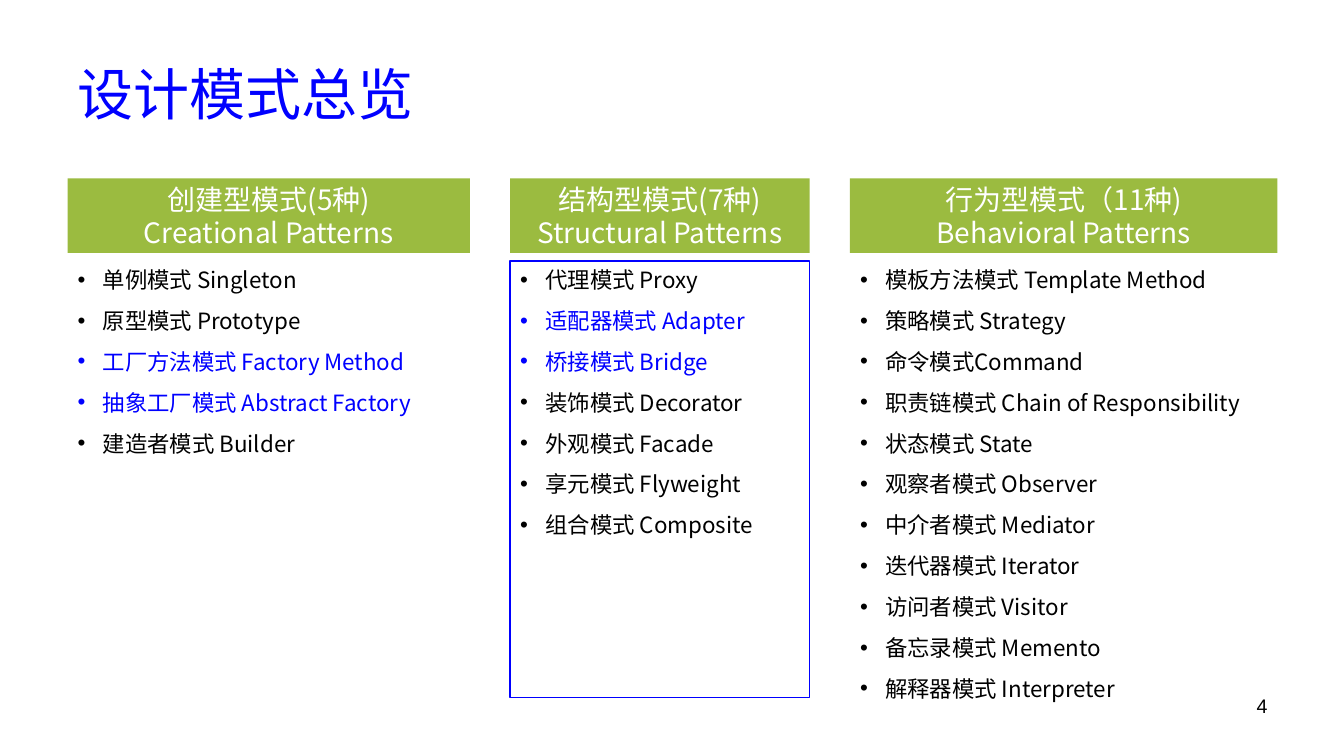
from dataclasses import dataclass
from itertools import accumulate

from lxml.etree import SubElement
from pptx import Presentation
from pptx.dml.color import RGBColor
from pptx.enum.shapes import MSO_SHAPE
from pptx.enum.text import MSO_ANCHOR, MSO_AUTO_SIZE, PP_ALIGN
from pptx.oxml.ns import qn
from pptx.util import Inches, Pt

COLORS = {"green": "9BBB40", "blue": "0000FF", "black": "000000", "white": "FFFFFF"}
CJK = "Noto Sans CJK SC"

# Grid: three columns between equal margins
MARGIN, WIDTH, GAP = 0.67, 12, 0.4
HEADER_TOP, HEADER_HEIGHT, LIST_TOP = 1.77, 0.74, 2.59
FRAME_HEIGHT = 4.33


@dataclass
class Category:
    heading: list[str]
    patterns: list[str]
    width: float
    list_height: float
    placeholder: int
    highlighted: tuple[int, ...] = ()
    framed: bool = False


CATEGORIES = [
    Category(["创建型模式(5种)", "Creational Patterns"],
             ["单例模式 Singleton", "原型模式 Prototype", "工厂方法模式 Factory Method",
              "抽象工厂模式 Abstract Factory", "建造者模式 Builder"],
             3.99, 2.08, 1, highlighted=(2, 3)),
    Category(["结构型模式(7种)", "Structural Patterns"],
             ["代理模式 Proxy", "适配器模式 Adapter", "桥接模式 Bridge", "装饰模式 Decorator",
              "外观模式 Facade", "享元模式 Flyweight", "组合模式 Composite"],
             2.97, 3.27, 2, highlighted=(1, 2), framed=True),
    Category(["行为型模式（11种)", "Behavioral Patterns"],
             ["模板方法模式 Template Method", "策略模式 Strategy", "命令模式Command",
              "职责链模式 Chain of Responsibility", "状态模式 State", "观察者模式 Observer",
              "中介者模式 Mediator", "迭代器模式 Iterator", "访问者模式 Visitor",
              "备忘录模式 Memento", "解释器模式 Interpreter"],
             4.24, 4.45, 4),
]


def rgb(name: str) -> RGBColor:
    return RGBColor.from_string(COLORS[name])


def place(shape, left: float, top: float, width: float, height: float) -> None:
    shape.left, shape.top = Inches(left), Inches(top)
    shape.width, shape.height = Inches(width), Inches(height)


def add_bullet(para) -> None:
    properties = para._p.get_or_add_pPr()
    properties.set("marL", str(Inches(0.25)))
    properties.set("indent", str(-Inches(0.25)))
    SubElement(properties, qn("a:buFont")).set("typeface", "Arial")
    SubElement(properties, qn("a:buChar")).set("char", "•")


def write(shape, lines: list[str], *, size: float, color: str = "black", font: str = CJK,
          align: PP_ALIGN = PP_ALIGN.LEFT, anchor: MSO_ANCHOR = MSO_ANCHOR.TOP,
          bullets: bool = False, space_before: float = 0, line_height: float | None = None,
          highlighted: tuple[int, ...] = ()) -> None:
    frame = shape.text_frame
    frame.word_wrap = True
    frame.auto_size = MSO_AUTO_SIZE.NONE
    frame.vertical_anchor = anchor
    for index, line in enumerate(lines):
        para = frame.add_paragraph() if index else frame.paragraphs[0]
        if bullets:
            add_bullet(para)
        para.alignment = align
        para.space_before = Pt(space_before if index else 0)
        if line_height:
            para.line_spacing = Pt(line_height)
        span = para.add_run()
        span.text = line
        span.font.size, span.font.bold, span.font.name = Pt(size), False, font
        SubElement(span._r.get_or_add_rPr(), qn("a:ea")).set("typeface", font)
        span.font.color.rgb = rgb("blue" if index in highlighted else color)


def add_rectangle(page, left: float, top: float, width: float, height: float):
    box = page.shapes.add_shape(MSO_SHAPE.RECTANGLE, Inches(left), Inches(top),
                                Inches(width), Inches(height))
    box.shadow.inherit = False
    return box


def add_category(page, category: Category, left: float) -> None:
    # Heading band
    band = add_rectangle(page, left, HEADER_TOP, category.width, HEADER_HEIGHT)
    band.fill.solid()
    band.fill.fore_color.rgb = rgb("green")
    band.line.fill.background()
    frame = band.text_frame
    frame.margin_left = frame.margin_right = frame.margin_top = frame.margin_bottom = 0
    write(band, category.heading, size=20, color="white", align=PP_ALIGN.CENTER,
          anchor=MSO_ANCHOR.MIDDLE, line_height=24)

    # Pattern list
    body = page.placeholders[category.placeholder]
    place(body, left, LIST_TOP, category.width, category.list_height)
    write(body, category.patterns, size=16, bullets=True, space_before=10,
          line_height=19.2, highlighted=category.highlighted)

    # Frame around the list
    if category.framed:
        outline = add_rectangle(page, left, LIST_TOP, category.width, FRAME_HEIGHT)
        outline.fill.background()
        outline.line.color.rgb = rgb("blue")
        outline.line.width = Pt(1.25)


def main() -> None:
    deck = Presentation()
    deck.slide_width, deck.slide_height = Inches(13.33), Inches(7.5)
    page = deck.slides.add_slide(deck.slide_layouts.get_by_name("Comparison"))

    # Title
    title = page.shapes.title
    place(title, MARGIN, 0.3, WIDTH, 1.25)
    write(title, ["设计模式总览"], size=40, color="blue", anchor=MSO_ANCHOR.MIDDLE)

    # Categories
    lefts = accumulate((category.width + GAP for category in CATEGORIES), initial=MARGIN)
    for category, left in zip(CATEGORIES, lefts):
        add_category(page, category, left)
    unused = page.placeholders[3].element
    unused.getparent().remove(unused)

    # Page number
    number = page.shapes.add_textbox(Inches(9.56), Inches(6.83), Inches(3.11), Inches(0.52))
    write(number, ["4"], size=14, font="Arial", align=PP_ALIGN.RIGHT)

    deck.save("out.pptx")


if __name__ == "__main__":
    main()
